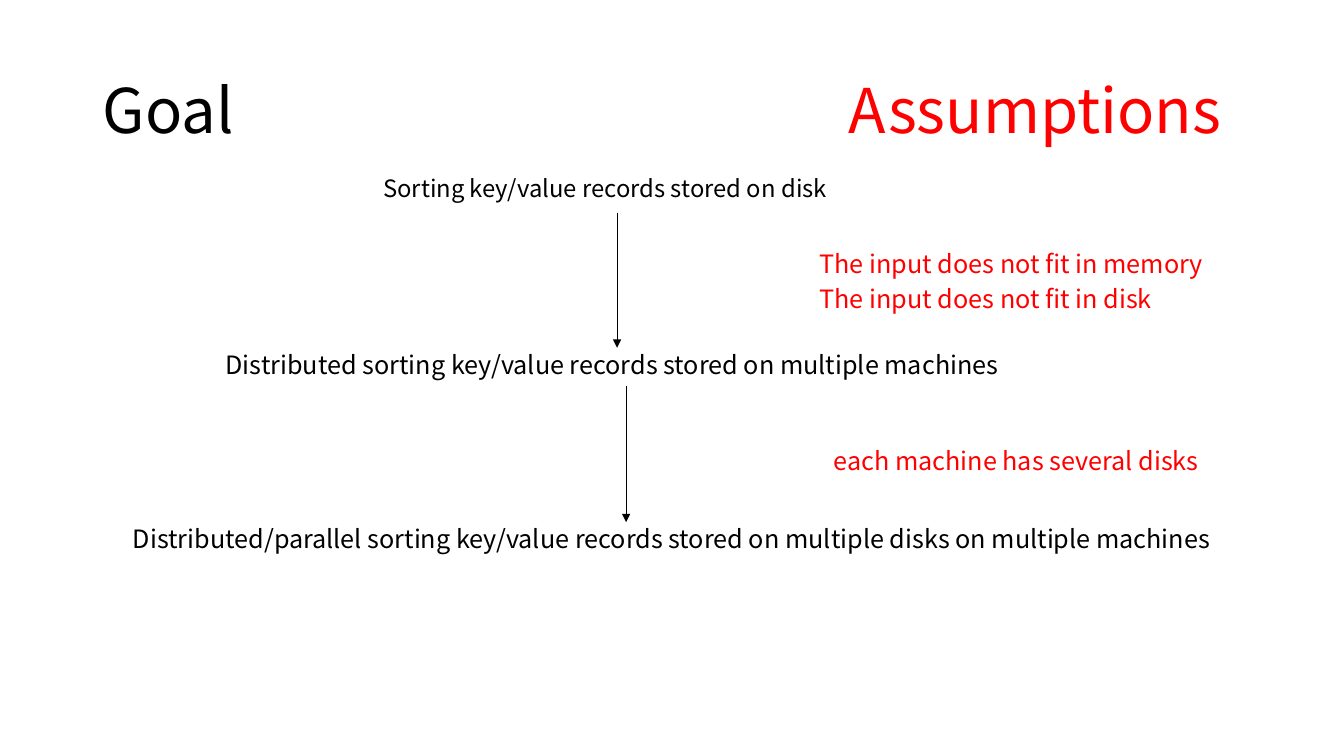
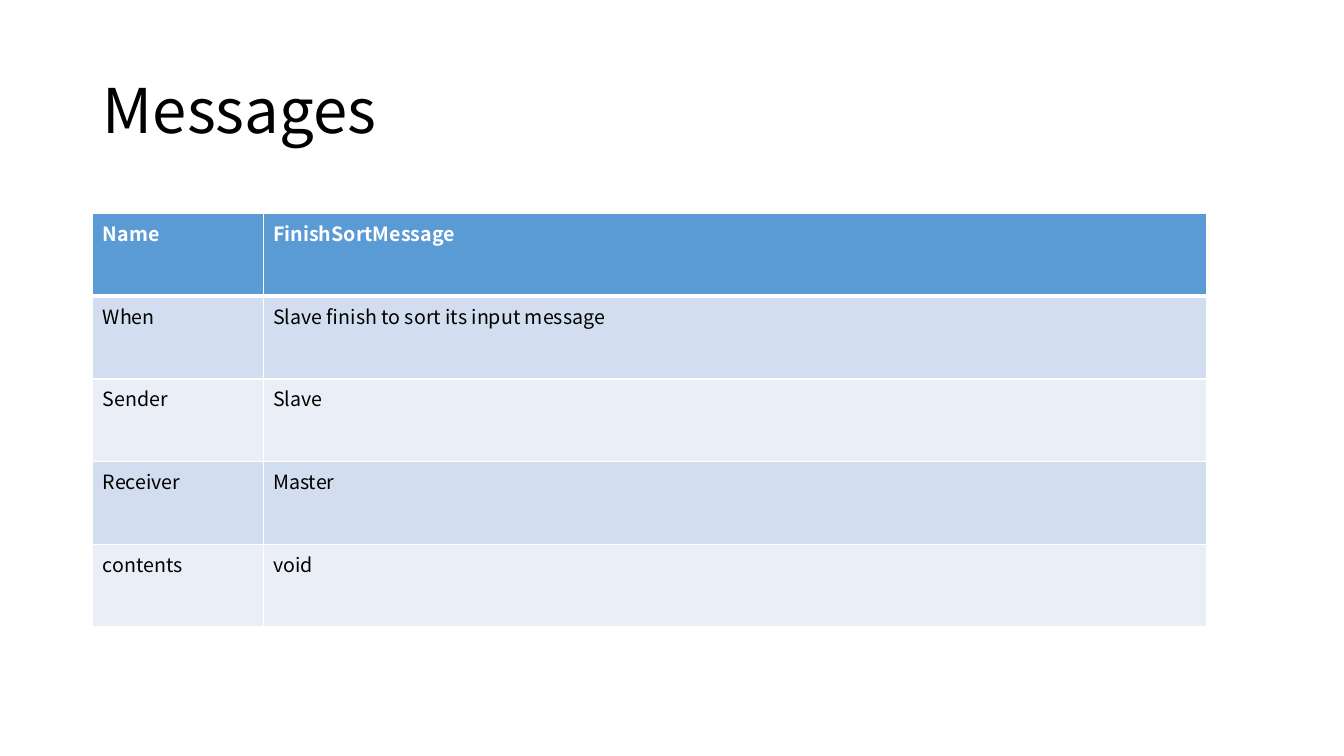
"""Build two slides: the sorting goal with its assumptions, and a message table."""
from dataclasses import dataclass

from lxml import etree
from pptx import Presentation
from pptx.dml.color import RGBColor
from pptx.enum.shapes import MSO_CONNECTOR
from pptx.enum.text import MSO_ANCHOR, MSO_AUTO_SIZE, PP_ALIGN
from pptx.oxml.ns import qn
from pptx.util import Inches, Pt

STRAIGHT = MSO_CONNECTOR.STRAIGHT
MIDDLE, TOP = MSO_ANCHOR.MIDDLE, MSO_ANCHOR.TOP
LEFT = PP_ALIGN.LEFT
FIT, NO_FIT = MSO_AUTO_SIZE.TEXT_TO_FIT_SHAPE, MSO_AUTO_SIZE.NONE

FONT = "Noto Sans CJK KR"
BLACK, WHITE, RED = "000000", "FFFFFF", "FF0000"
HEADER, BAND_DARK, BAND_LIGHT = "5B9BD5", "D2DEEF", "EAEFF7"
TITLE_SIZE, BODY_SIZE, TABLE_SIZE = 44, 18, 14
LINE_SPACING = 0.9
LABEL_HEIGHT = 0.38
ASSUMPTIONS_TAB = 7.4


@dataclass(frozen=True)
class Span:
    text: str
    color: str = BLACK


@dataclass(frozen=True)
class Label:
    text: str
    left: float
    top: float
    width: float
    color: str = BLACK


@dataclass(frozen=True)
class Arrow:
    x: float
    top: float
    bottom: float


FIRST_GOAL = Label("Sorting key/value records stored on disk", 3.7, 1.73, 4.84)
LABELS = (
    Label("Distributed/parallel sorting key/value records stored on multiple "
          "disks on multiple machines", 1.22, 5.18, 11.19),
    Label("The input does not fit in memory", 8.03, 2.45, 4.84, RED),
    Label("The input does not fit in disk", 8.03, 2.8, 4.84, RED),
    Label("Distributed sorting key/value records stored on multiple machines",
          2.14, 3.45, 8.13),
    Label("each machine has several disks", 8.17, 4.4, 4.84, RED),
)
ARROWS = (Arrow(6.12, 2.11, 3.45), Arrow(6.21, 3.83, 5.18))
MESSAGE_ROWS = (
    ("Name", "FinishSortMessage"),
    ("When", "Slave finish to sort its input message"),
    ("Sender", "Slave"),
    ("Receiver", "Master"),
    ("contents", "void"),
)
COLUMN_WIDTHS = (1.69, 9.36)
ROW_HEIGHT = 0.82


def rgb(value: str) -> RGBColor:
    """Turn a hex string into a colour."""
    return RGBColor.from_string(value)


def place(shape, left: float, top: float, width: float, height: float) -> None:
    """Set position and size in inches."""
    shape.left, shape.top = Inches(left), Inches(top)
    shape.width, shape.height = Inches(width), Inches(height)


def add_span(para, span: Span, size: int, bold: bool = False) -> None:
    """Add one formatted run."""
    run = para.add_run()
    run.text = span.text
    run.font.name, run.font.size, run.font.bold = FONT, Pt(size), bold
    run.font.color.rgb = rgb(span.color)


def write_title(page, *spans: Span) -> None:
    """Fill the title placeholder, with any second span at a tab stop."""
    title = page.shapes.title
    place(title, 0.92, 0.4, 11.5, 1.45)
    frame = title.text_frame
    frame.vertical_anchor, frame.word_wrap, frame.auto_size = MIDDLE, True, NO_FIT
    para = frame.paragraphs[0]
    para.alignment, para.line_spacing = LEFT, LINE_SPACING
    tabs = etree.SubElement(para._p.get_or_add_pPr(), qn("a:tabLst"))
    etree.SubElement(tabs, qn("a:tab"), pos=str(Inches(ASSUMPTIONS_TAB)), algn="l")
    for span in spans:
        add_span(para, span, TITLE_SIZE)


def write_label(box, label: Label) -> None:
    """Place a text shape and write its unbulleted line."""
    place(box, label.left, label.top, label.width, LABEL_HEIGHT)
    frame = box.text_frame
    frame.word_wrap, frame.auto_size, frame.vertical_anchor = True, FIT, TOP
    para = frame.paragraphs[0]
    para.alignment, para.line_spacing, para.space_before = LEFT, LINE_SPACING, Pt(10)
    properties = para._p.get_or_add_pPr()
    properties.set("marL", "0")
    properties.set("indent", "0")
    etree.SubElement(properties, qn("a:buNone"))
    add_span(para, Span(label.text, label.color), BODY_SIZE)


def draw_arrow(page, arrow: Arrow) -> None:
    """Draw a thin downward arrow."""
    x = Inches(arrow.x)
    line = page.shapes.add_connector(
        STRAIGHT, x, Inches(arrow.top), x, Inches(arrow.bottom))
    line.line.color.rgb, line.line.width = rgb(BLACK), Pt(0.5)
    etree.SubElement(line.line._get_or_add_ln(), qn("a:tailEnd"), type="triangle")
    etree.SubElement(line._element.spPr, qn("a:effectLst"))


def set_borders(cell, top: int, bottom: int) -> None:
    """Give a cell white borders, ahead of its fill."""
    properties = cell._tc.get_or_add_tcPr()
    sides = (("lnL", 1), ("lnR", 1), ("lnT", top), ("lnB", bottom))
    for index, (side, width) in enumerate(sides):
        border = etree.Element(qn(f"a:{side}"), w=str(Pt(width)))
        fill = etree.SubElement(border, qn("a:solidFill"))
        etree.SubElement(fill, qn("a:srgbClr"), val=WHITE)
        properties.insert(index, border)


def draw_message_table(page) -> None:
    """Draw the banded message table."""
    count = len(MESSAGE_ROWS)
    table = page.shapes.add_table(
        count, len(COLUMN_WIDTHS), Inches(0.92), Inches(2.12),
        Inches(sum(COLUMN_WIDTHS)), Inches(ROW_HEIGHT * count)).table
    for column, width in zip(table.columns, COLUMN_WIDTHS):
        column.width = Inches(width)
    for row, texts in enumerate(MESSAGE_ROWS):
        table.rows[row].height = Inches(ROW_HEIGHT)
        is_header = row == 0
        band = HEADER if is_header else (BAND_LIGHT, BAND_DARK)[row % 2]
        for column, text in enumerate(texts):
            cell = table.cell(row, column)
            cell.fill.solid()
            cell.fill.fore_color.rgb = rgb(band)
            set_borders(cell, 3 if row == 1 else 1, 3 if is_header else 1)
            span = Span(text, WHITE if is_header else BLACK)
            add_span(cell.text_frame.paragraphs[0], span, TABLE_SIZE, is_header)


def build_goal(deck) -> None:
    """Build the slide of goals and assumptions."""
    page = deck.slides.add_slide(deck.slide_layouts[1])
    write_title(page, Span("Goal\t"), Span("Assumptions", RED))
    write_label(page.placeholders[1], FIRST_GOAL)
    for label in LABELS:
        write_label(page.shapes.add_textbox(0, 0, 0, 0), label)
    for arrow in ARROWS:
        draw_arrow(page, arrow)


def build_messages(deck) -> None:
    """Build the slide of the message table."""
    page = deck.slides.add_slide(deck.slide_layouts[5])
    write_title(page, Span("Messages"))
    draw_message_table(page)


def main() -> None:
    """Build and save the deck."""
    deck = Presentation()
    deck.slide_width, deck.slide_height = Inches(13.33), Inches(7.5)
    build_goal(deck)
    build_messages(deck)
    deck.save("out.pptx")


main()
